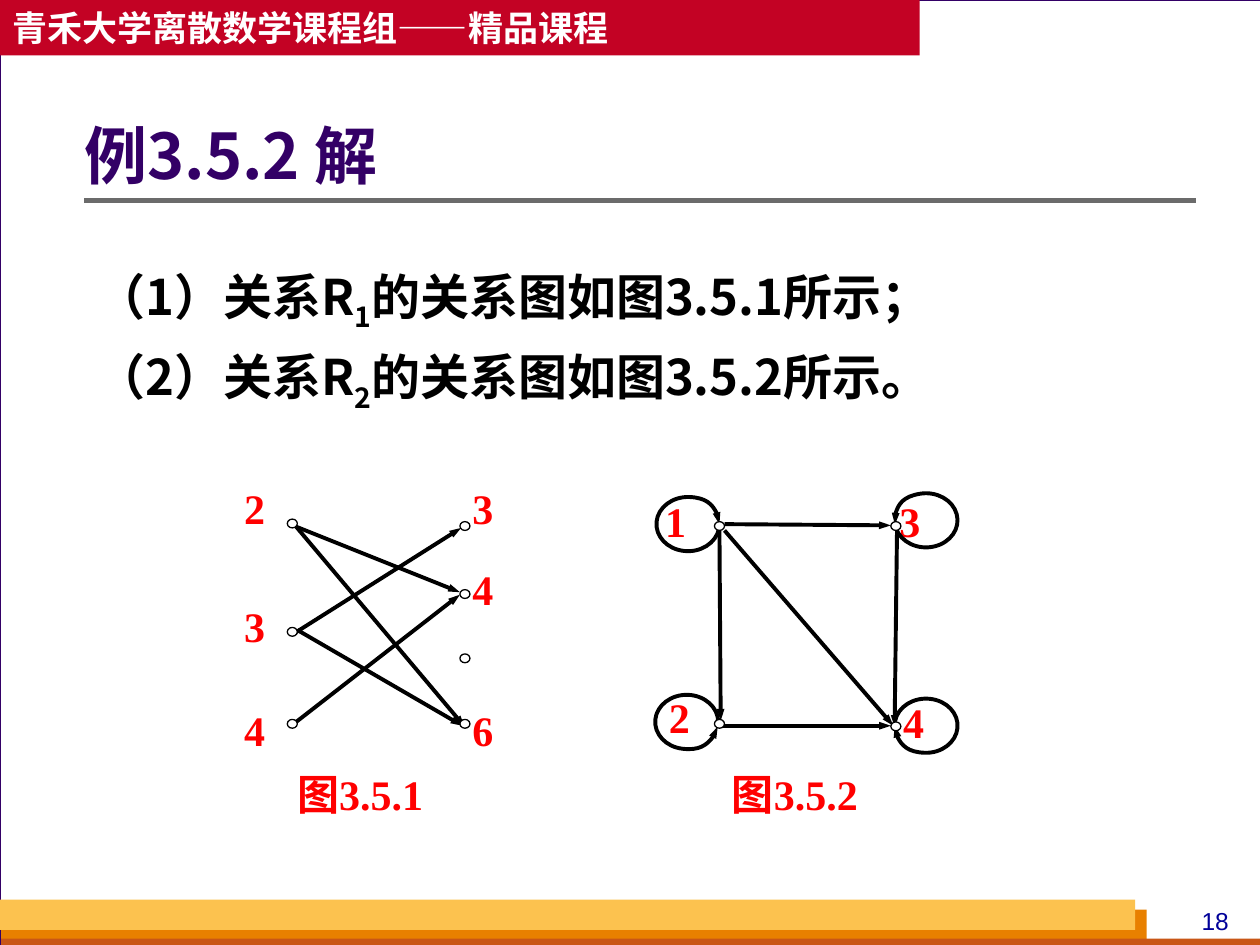
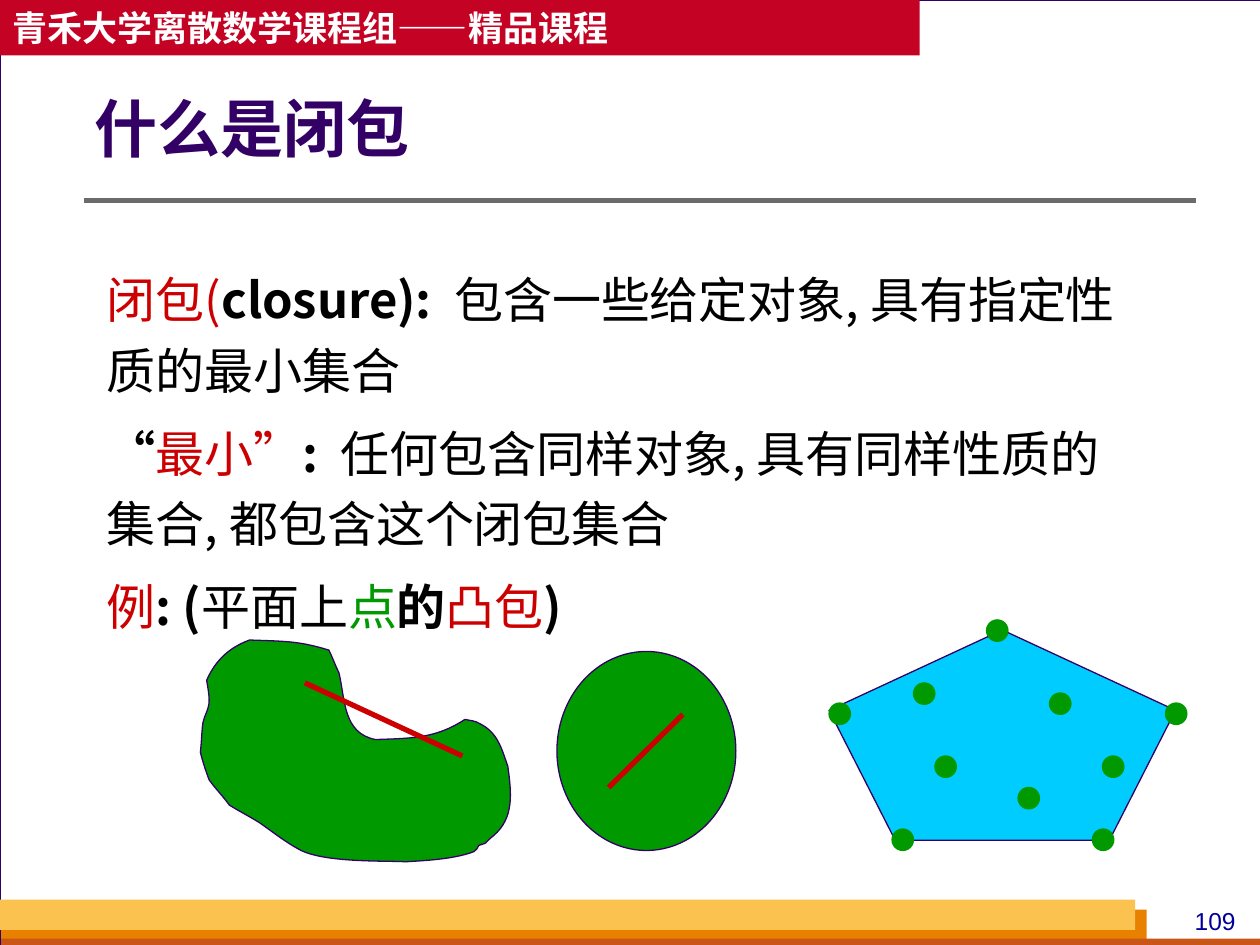
from math import cos, radians, sin, tan

from lxml import etree
from pptx import Presentation
from pptx.dml.color import RGBColor
from pptx.enum.shapes import MSO_CONNECTOR, MSO_SHAPE
from pptx.enum.text import MSO_ANCHOR, PP_ALIGN
from pptx.oxml.ns import qn
from pptx.util import Inches, Pt

RECT, OVAL, PENTAGON = MSO_SHAPE.RECTANGLE, MSO_SHAPE.OVAL, MSO_SHAPE.REGULAR_PENTAGON
STRAIGHT, MIDDLE, CENTER = MSO_CONNECTOR.STRAIGHT, MSO_ANCHOR.MIDDLE, PP_ALIGN.CENTER

WHITE = RGBColor(0xFF, 0xFF, 0xFF)
BLACK = RGBColor(0x00, 0x00, 0x00)
BACK = RGBColor(0xD8, 0xDA, 0xDA)
PURPLE = RGBColor(0x33, 0x00, 0x66)
ORANGE = RGBColor(0xE8, 0x80, 0x00)
RUST = RGBColor(0xC9, 0x56, 0x16)
AMBER = RGBColor(0xFC, 0xC2, 0x4F)
CRIMSON = RGBColor(0xC3, 0x02, 0x24)
GREY = RGBColor(0x6B, 0x6B, 0x6B)
NAVY = RGBColor(0x00, 0x00, 0x99)
BRIGHT = RGBColor(0xFF, 0x00, 0x00)
RED = RGBColor(0xCC, 0x00, 0x00)
GREEN = RGBColor(0x00, 0x99, 0x00)
CYAN = RGBColor(0x00, 0xCC, 0xFF)

SANS, SERIF, PLAIN = "Noto Sans CJK SC", "Times New Roman", "Arial"


def draw(slide, kind, box, fill, line=None):
    """Add a preset shape with a flat fill and an optional thin outline."""
    shape = slide.shapes.add_shape(kind, *map(Inches, box))
    shape.shadow.inherit = False
    shape.fill.solid()
    shape.fill.fore_color.rgb = fill
    if line is None:
        shape.line.fill.background()
    else:
        shape.line.color.rgb = line
        shape.line.width = Pt(0.75)
    return shape


def write(shape, paras, size, font=SANS, space=1.0, before=0):
    """Fill a shape with paragraphs, each a list of (text, colour, bold)."""
    frame = shape.text_frame
    frame.word_wrap = True
    for i, runs in enumerate(paras):
        para = frame.add_paragraph() if i else frame.paragraphs[0]
        para.alignment = PP_ALIGN.LEFT
        para.line_spacing = space
        para.space_before = Pt(before)
        for text, color, bold in runs:
            if text == "\n":
                para.add_line_break()
                continue
            run = para.add_run()
            run.text = text
            run.font.size = Pt(size)
            run.font.bold = bold
            run.font.color.rgb = color
            run.font.name = font
            east = etree.SubElement(run.font._element, qn("a:ea"))
            east.set("typeface", SANS)
    return frame


prs = Presentation()
prs.slide_width, prs.slide_height = Inches(10), Inches(7.5)

# Frame, bands, page number, rule and title of every slide
pages = [
    ("18", "例3.5.2 解", (0.67, 0.76, 8.82, 1.01)),
    ("109", "什么是闭包", (0.75, 0.17, 7.51, 1.75)),
]
bands = [
    ((0.01, 7.22, 9.09, 0.28), ORANGE),
    ((0.01, 7.45, 9.99, 0.05), RUST),
    ((0, 7.14, 9.01, 0.24), AMBER),
]
slides, lines = [], []
for number, title, place in pages:
    slide = prs.slides.add_slide(prs.slide_layouts[6])
    slide.background.fill.solid()
    slide.background.fill.fore_color.rgb = BACK
    draw(slide, RECT, (0, 0, 10.01, 7.5), WHITE, PURPLE)
    for box, color in bands:
        draw(slide, RECT, box, color)
    box = slide.shapes.add_textbox(*map(Inches, (9.33, 7.14, 0.63, 0.34)))
    frame = write(box, [[(number, NAVY, False)]], 14, PLAIN, before=8.8)
    frame.paragraphs[0].alignment = CENTER
    line = slide.shapes.add_connector(STRAIGHT, *map(Inches, (0.67, 1.59, 9.49, 1.59)))
    lines.append((line, GREY))
    band = draw(slide, RECT, (0, 0, 7.3, 0.44), CRIMSON)
    frame = write(band, [[("青禾大学离散数学课程组——精品课程", WHITE, True)]], 20)
    frame.vertical_anchor = MIDDLE
    box = slide.shapes.add_textbox(*map(Inches, place))
    frame = write(box, [[(title, PURPLE, True)]], 36, space=0.9)
    frame.margin_left = 0
    frame.vertical_anchor = MIDDLE
    slides.append(slide)
graph, hull = slides

# Relation graphs
body = []
for mark, sub, end in [("（1）", "1", "；"), ("（2）", "2", "。")]:
    if body:
        body.append(("\n", BLACK, True))
    body += [(mark + "关系R", BLACK, True), (sub, BLACK, True),
             (f"的关系图如图3.5.{sub}所示{end}", BLACK, True)]
box = graph.shapes.add_textbox(*map(Inches, (0.67, 1.96, 8.82, 5.02)))
frame = write(box, [body], 28, space=1.2, before=7)
for run in frame.paragraphs[0].runs[1::3]:
    run.font._element.set("baseline", "-25000")

for text, x in [("图3.5.1", 2.26), ("图3.5.2", 5.71)]:
    box = draw(graph, RECT, (x, 6.05, 1.59, 0.59), WHITE)
    frame = write(box, [[(text, BRIGHT, True)]], 24, SERIF)
    frame.vertical_anchor = MSO_ANCHOR.TOP
labels = [
    ("2", 1.84, 3.78), ("3", 1.84, 4.72), ("4", 1.84, 5.54),
    ("3", 3.65, 3.78), ("4", 3.65, 4.42), ("6", 3.65, 5.54),
    ("1", 5.18, 3.88), ("2", 5.21, 5.44), ("3", 7.04, 3.88), ("4", 7.07, 5.48),
]
for text, x, y in labels:
    box = graph.shapes.add_textbox(*map(Inches, (x, y, 0.53, 0.59)))
    write(box, [[(text, BRIGHT, True)]], 24, SERIF)

arrows = []
edges = [
    (2.35, 4.18, 3.65, 4.7), (2.35, 4.18, 3.69, 5.77), (2.33, 5.03, 3.66, 4.19),
    (2.36, 5, 3.67, 5.76), (2.35, 5.73, 3.65, 4.72),
    (5.71, 4.21, 5.72, 5.72), (5.75, 4.16, 7.07, 4.17), (5.75, 4.21, 7.09, 5.76),
    (7.12, 4.17, 7.1, 5.77), (5.73, 5.76, 7.07, 5.76),
]
for edge in edges:
    arrows.append(graph.shapes.add_connector(STRAIGHT, *map(Inches, edge)))

# Self-loops as four arcs: centre, then the first and last angle in degrees
loops = [
    (5.46, 4.16, 10, 360), (5.45, 5.73, 0, -350),
    (7.35, 4.13, 163, -189), (7.35, 5.76, 190, 540),
]
WIDE, HIGH = 0.25, 0.43 / 2
outlines = []
for x, y, first, last in loops:
    step = radians(last - first) / 4
    pull = 4 / 3 * tan(step / 4)
    dots = [(x + WIDE * cos(radians(first)), y + HIGH * sin(radians(first)))]
    for i in range(4):
        a = radians(first) + i * step
        b = a + step
        dots += [(x + WIDE * (cos(a) - pull * sin(a)), y + HIGH * (sin(a) + pull * cos(a))),
                 (x + WIDE * (cos(b) + pull * sin(b)), y + HIGH * (sin(b) - pull * cos(b))),
                 (x + WIDE * cos(b), y + HIGH * sin(b))]
    outlines.append((graph, dots, False))

# Concave region: each row holds two control points and an end point
curves = [
    (1.71, 5.24, 1.82, 5.14, 1.98, 5.08), (2.28, 5.09, 2.38, 5.09, 2.61, 5.16),
    (2.64, 5.22, 2.66, 5.28, 2.69, 5.34), (2.74, 5.55, 2.72, 5.82, 2.98, 5.87),
    (3.28, 5.86, 3.46, 5.86, 3.69, 5.71), (3.73, 5.72, 3.77, 5.72, 3.8, 5.74),
    (3.95, 5.81, 3.98, 5.94, 4.03, 6.08), (4.06, 6.3, 4.08, 6.49, 3.92, 6.63),
    (3.82, 6.71, 3.89, 6.68, 3.8, 6.71), (3.79, 6.73, 3.78, 6.75, 3.76, 6.76),
    (3.6, 6.82, 3.38, 6.83, 3.22, 6.84), (3.06, 6.83, 2.56, 6.85, 2.37, 6.74),
    (2.26, 6.68, 2.16, 6.6, 2.06, 6.53), (1.98, 6.48, 1.9, 6.44, 1.82, 6.39),
    (1.77, 6.32, 1.71, 6.26, 1.66, 6.19), (1.63, 6.11, 1.61, 6.05, 1.59, 5.97),
    (1.6, 5.89, 1.6, 5.82, 1.61, 5.74), (1.62, 5.68, 1.66, 5.63, 1.66, 5.56),
    (1.66, 5.51, 1.65, 5.46, 1.64, 5.4),
]
dots = [(1.64, 5.4)] + [row[i:i + 2] for row in curves for i in (0, 2, 4)]
outlines.append((hull, dots, True))

for slide, dots, closed in outlines:
    dots = [(Inches(x), Inches(y)) for x, y in dots]
    pen = slide.shapes.build_freeform(*dots[0], scale=1.0)
    pen.add_line_segments(dots[1:], close=closed)
    shape = pen.convert_to_shape()
    # Join each three straight steps into one Bézier curve
    steps = list(shape._element.iter(qn("a:lnTo")))
    for i in range(0, len(steps), 3):
        curve = etree.Element(qn("a:cubicBezTo"))
        steps[i].addprevious(curve)
        for step in steps[i:i + 3]:
            curve.append(step[0])
            step.getparent().remove(step)
    if closed:
        shape.shadow.inherit = False
        shape.fill.solid()
        shape.fill.fore_color.rgb = GREEN
        shape.line.color.rgb = PURPLE
        shape.line.width = Pt(0.75)
    else:
        shape.fill.background()
        arrows.append(shape)

for arrow in arrows:
    arrow.line.color.rgb = BLACK
    arrow.line.width = Pt(2.25)
    etree.SubElement(arrow.line._get_or_add_ln(), qn("a:tailEnd"),
                     type="triangle", w="sm", len="med")
    etree.SubElement(arrow._element.spPr, qn("a:effectLst"))

nodes = [
    (2.28, 4.12), (2.28, 4.98), (2.28, 5.71),
    (3.65, 4.14), (3.65, 4.68), (3.65, 5.19), (3.65, 5.71),
    (5.67, 4.14), (5.67, 5.71), (7.07, 4.14), (7.07, 5.73),
]
for x, y in nodes:
    draw(graph, OVAL, (x, y, 0.08, 0.07), WHITE, BLACK)

# Closure and convex hull
box = hull.shapes.add_textbox(*map(Inches, (0.75, 2, 8.42, 4)))
frame = write(box, [
    [("闭包(", RED, False), ("closure):", BLACK, True), (" ", BLACK, True),
     ("包含一些给定对象, 具有指定性质的最小集合", BLACK, False)],
    [("“", BLACK, True), ("最小”", RED, False), (":", BLACK, True), (" ", BLACK, True),
     ("任何包含同样对象, 具有同样性质的集合, 都包含这个闭包集合", BLACK, False)],
    [("例", RED, False), (": (", BLACK, True), ("平面上", BLACK, False),
     ("点", GREEN, False), ("的", BLACK, True), ("凸包", RED, False),
     (")", BLACK, True)],
], 28, space=1.2, before=7)
frame.paragraphs[1].runs[0].font.name = PLAIN
for para in frame.paragraphs:
    for run in para.runs:
        if run.text == " ":
            run.font._element.set("spc", "650")

draw(hull, PENTAGON, (6.58, 5, 2.75, 1.67), CYAN, PURPLE)
points = [
    (7.83, 4.92), (9.25, 5.58), (6.58, 5.58), (7.08, 6.58), (8.67, 6.58),
    (8.75, 6), (7.42, 6), (8.33, 5.5), (8.08, 6.25), (7.25, 5.42),
]
for x, y in points:
    draw(hull, OVAL, (x, y, 0.17, 0.17), GREEN, GREEN)
draw(hull, OVAL, (4.42, 5.17, 1.42, 1.58), GREEN, PURPLE)

for ends in [(2.42, 5.42, 3.67, 6), (5.42, 5.67, 4.83, 6.25)]:
    lines.append((hull.shapes.add_connector(STRAIGHT, *map(Inches, ends)), RED))
for line, color in lines:
    line.line.color.rgb = color
    line.line.width = Pt(3)
    etree.SubElement(line._element.spPr, qn("a:effectLst"))

prs.save("out.pptx")
